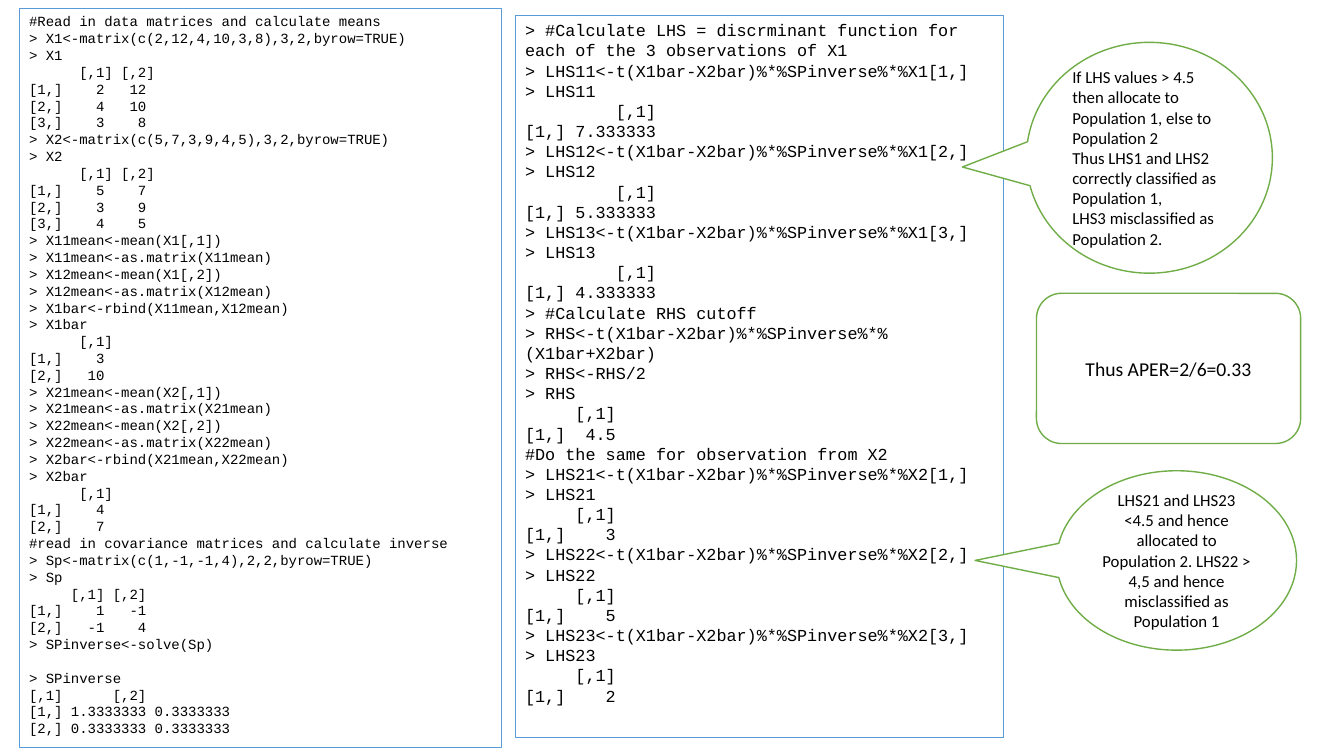
from dataclasses import dataclass

import pptx
import pptx.dml.color
import pptx.enum.shapes
import pptx.enum.text
import pptx.util

Inches = pptx.util.Inches
Pt = pptx.util.Pt
MSO_SHAPE = pptx.enum.shapes.MSO_SHAPE
PP_ALIGN = pptx.enum.text.PP_ALIGN
MSO_ANCHOR = pptx.enum.text.MSO_ANCHOR

COLORS = {"text": "000000", "panel": "5B9BD5", "note": "70AD47", "white": "FFFFFF"}

DATA_CODE = """#Read in data matrices and calculate means
> X1<-matrix(c(2,12,4,10,3,8),3,2,byrow=TRUE)
> X1
      [,1] [,2]
[1,]    2   12
[2,]    4   10
[3,]    3    8
> X2<-matrix(c(5,7,3,9,4,5),3,2,byrow=TRUE)
> X2
      [,1] [,2]
[1,]    5    7
[2,]    3    9
[3,]    4    5"""

MEANS_CODE = """> X11mean<-mean(X1[,1])
> X11mean<-as.matrix(X11mean)
> X12mean<-mean(X1[,2])
> X12mean<-as.matrix(X12mean)
> X1bar<-rbind(X11mean,X12mean)
> X1bar
      [,1]
[1,]    3
[2,]   10
> X21mean<-mean(X2[,1])
> X21mean<-as.matrix(X21mean)
> X22mean<-mean(X2[,2])
> X22mean<-as.matrix(X22mean)
> X2bar<-rbind(X21mean,X22mean)
> X2bar
      [,1]
[1,]    4
[2,]    7"""

COVARIANCE_CODE = """#read in covariance matrices and calculate inverse
> Sp<-matrix(c(1,-1,-1,4),2,2,byrow=TRUE)
> Sp
     [,1] [,2]
[1,]    1   -1
[2,]   -1    4
> SPinverse<-solve(Sp)
> SPinverse
[,1]      [,2]
[1,] 1.3333333 0.3333333
[2,] 0.3333333 0.3333333"""

X1_CODE = """> #Calculate LHS = discrminant function for each of the 3 observations of X1
> LHS11<-t(X1bar-X2bar)%*%SPinverse%*%X1[1,]
> LHS11
         [,1]
[1,] 7.333333
> LHS12<-t(X1bar-X2bar)%*%SPinverse%*%X1[2,]
> LHS12
         [,1]
[1,] 5.333333
> LHS13<-t(X1bar-X2bar)%*%SPinverse%*%X1[3,]
> LHS13
         [,1]
[1,] 4.333333"""

CUTOFF_CODE = """> #Calculate RHS cutoff
> RHS<-t(X1bar-X2bar)%*%SPinverse%*%(X1bar+X2bar)
> RHS<-RHS/2
> RHS
     [,1]
[1,]  4.5"""

X2_CODE = """#Do the same for observation from X2
> LHS21<-t(X1bar-X2bar)%*%SPinverse%*%X2[1,]
> LHS21
     [,1]
[1,]    3
> LHS22<-t(X1bar-X2bar)%*%SPinverse%*%X2[2,]
> LHS22
     [,1]
[1,]    5
> LHS23<-t(X1bar-X2bar)%*%SPinverse%*%X2[3,]
> LHS23
     [,1]
[1,]    2"""

ALLOCATION_RULE = """If LHS values > 4.5 then allocate to Population 1, else to Population 2
Thus LHS1 and LHS2 correctly classified as Population 1,
LHS3 misclassified as Population 2."""

X2_RESULT = ("LHS21 and LHS23 <4.5 and hence allocated to Population 2. "
             "LHS22 > 4,5 and hence misclassified as Population 1")


@dataclass
class CodePanel:
    box: tuple[float, float, float, float]
    sections: list[str]
    size: int


@dataclass
class Note:
    box: tuple[float, float, float, float]
    text: str
    size: int
    shape: MSO_SHAPE = MSO_SHAPE.OVAL_CALLOUT
    align: PP_ALIGN = PP_ALIGN.CENTER
    tip: tuple[float, ...] = ()


PANELS = [
    CodePanel((0.19, 0.08, 4.78, 7.34), [DATA_CODE, MEANS_CODE, COVARIANCE_CODE], 10),
    CodePanel((5.11, 0.15, 4.84, 7.17), [X1_CODE, CUTOFF_CODE, X2_CODE], 12),
]
NOTES = [
    Note((10.18, 0.42, 2.44, 2.29), ALLOCATION_RULE, 12,
         align=PP_ALIGN.LEFT, tip=(-0.76, 0.04)),
    Note((10.48, 4.67, 2.38, 1.78), X2_RESULT, 12, tip=(-0.84, 0)),
    Note((10.28, 2.91, 2.62, 1.49), "Thus APER=2/6=0.33", 14,
         shape=MSO_SHAPE.ROUNDED_RECTANGLE),
]


def rgb(name: str) -> pptx.dml.color.RGBColor:
    return pptx.dml.color.RGBColor.from_string(COLORS[name])


def write(sp, text: str, font: str, size: int, align: PP_ALIGN) -> None:
    tf = sp.text_frame
    tf.word_wrap = True
    tf.text = text
    for p in tf.paragraphs:
        p.alignment = align
        for r in p.runs:
            r.font.name = font
            r.font.size = Pt(size)
            r.font.color.rgb = rgb("text")


def outline(sp, color: str, width: float) -> None:
    sp.line.color.rgb = rgb(color)
    sp.line.width = Pt(width)


def add_panel(slide, panel: CodePanel) -> None:
    sp = slide.shapes.add_textbox(*map(Inches, panel.box))
    outline(sp, "panel", 0.75)
    write(sp, "\n".join(panel.sections), "Courier New", panel.size, PP_ALIGN.LEFT)
    # One line of space sets the inverse matrix apart
    for p in sp.text_frame.paragraphs:
        if p.text == "> SPinverse":
            p.space_before = Pt(1.2 * panel.size)


def add_note(slide, note: Note) -> None:
    sp = slide.shapes.add_shape(note.shape, *map(Inches, note.box))
    sp.shadow.inherit = False
    sp.fill.solid()
    sp.fill.fore_color.rgb = rgb("white")
    outline(sp, "note", 1)
    for i, value in enumerate(note.tip):
        sp.adjustments[i] = value
    write(sp, note.text, "Calibri", note.size, note.align)
    sp.text_frame.vertical_anchor = MSO_ANCHOR.MIDDLE


def main() -> None:
    prs = pptx.Presentation()
    prs.slide_width = Inches(13.33)
    prs.slide_height = Inches(7.5)
    slide = prs.slides.add_slide(prs.slide_layouts[6])

    # R session output
    for panel in PANELS:
        add_panel(slide, panel)

    # Interpretation
    for note in NOTES:
        add_note(slide, note)

    prs.save("out.pptx")


if __name__ == "__main__":
    main()
